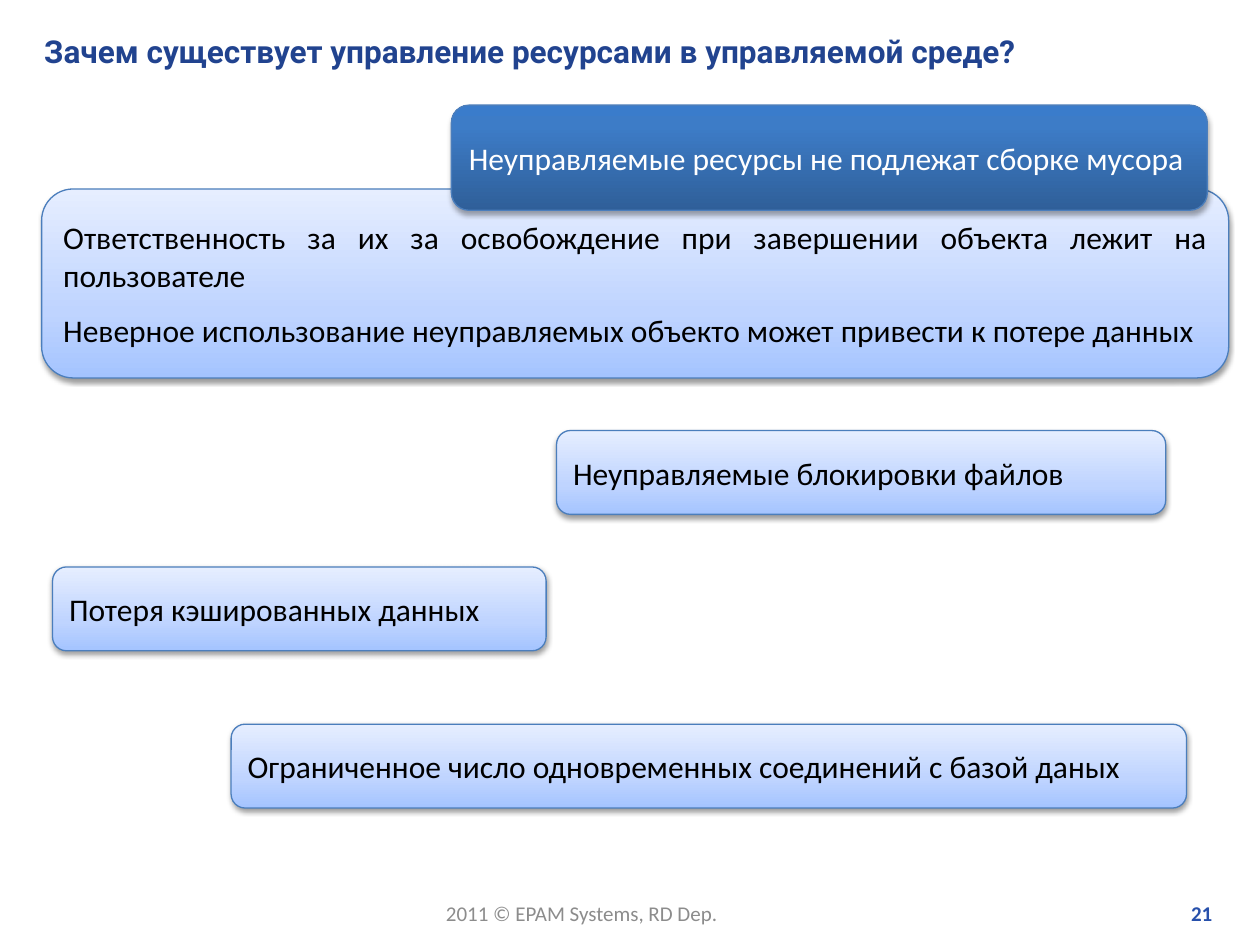
from copy import deepcopy

from lxml.etree import SubElement
from pptx import Presentation
from pptx.dml.color import RGBColor as Rgb
from pptx.enum.shapes import MSO_SHAPE as Form
from pptx.enum.text import MSO_ANCHOR as Anchor, PP_ALIGN as Align
from pptx.oxml.ns import qn
from pptx.util import Cm, Pt

BLACK = Rgb(0x00, 0x00, 0x00)
WHITE = Rgb(0xFF, 0xFF, 0xFF)
GREY = Rgb(0x8C, 0x8C, 0x8C)
NAVY = Rgb(0x21, 0x43, 0x8F)
BLUE = Rgb(0x27, 0x50, 0xAB)
EDGE = Rgb(0x4B, 0x7E, 0xBC)

# Stops run from the bottom of the card to its top.
LIGHT = {
    "stops": [(0, Rgb(0xA4, 0xC4, 0xFF)), (0.35, Rgb(0xBF, 0xD4, 0xFF)),
              (1, Rgb(0xE6, 0xEE, 0xFF))],
    "ink": BLACK, "drop": 1.6, "alpha": 38,
}
DARK = {
    "stops": [(0, Rgb(0x2F, 0x5F, 0x99)), (0.8, Rgb(0x3D, 0x7C, 0xC7)),
              (1, Rgb(0x3A, 0x7C, 0xCB))],
    "ink": WHITE, "drop": 1.8, "alpha": 35,
}

CARDS = [
    ((0.84, 3.81, 23.93, 3.81), LIGHT,
     ["Ответственность за их за освобождение при завершении объекта лежит на пользователе",
      "Неверное использование неуправляемых объекто может привести к потере данных"]),
    ((9.1, 2.12, 15.24, 2.12), DARK,
     ["Неуправляемые ресурсы не подлежат сборке мусора"]),
    ((11.22, 8.68, 12.28, 1.69), LIGHT, ["Неуправляемые блокировки файлов"]),
    ((4.66, 14.6, 19.26, 1.69), LIGHT,
     ["Ограниченное число одновременных соединений с базой даных"]),
    ((1.06, 11.43, 9.95, 1.69), LIGHT, ["Потеря кэшированных данных"]),
]


def put(item, form):
    for name, value in form.items():
        setattr(item, name, value)


def write(par, text, ink, size=18, face="Calibri", bold=False, **form):
    put(par, form)
    run = par.add_run()
    run.text = text
    put(run.font, {"size": Pt(size), "name": face, "bold": bold})
    run.font.color.rgb = ink


def label(slide, box, text, ink, wrap=True, **form):
    area = slide.shapes.add_textbox(*map(Cm, box))
    put(area.text_frame, {"word_wrap": wrap, "vertical_anchor": Anchor.MIDDLE})
    write(area.text_frame.paragraphs[0], text, ink, **form)


def shade(shape, stops):
    """Fill with a vertical gradient of three stops, rising from the bottom."""
    fill = shape.fill
    fill.gradient()
    fill.gradient_angle = 90
    marks = shape._element.spPr.find(qn("a:gradFill")).find(qn("a:gsLst"))
    marks.append(deepcopy(marks[0]))
    for stop, (pos, tone) in zip(fill.gradient_stops, stops):
        stop.position = pos
        stop.color.rgb = tone


def cast(shape, drop, alpha):
    """Add a soft black shadow below the shape."""
    shape.shadow.inherit = False
    effects = shape._element.spPr.find(qn("a:effectLst"))
    outer = SubElement(effects, qn("a:outerShdw"), blurRad=str(Pt(3.1)),
                       dist=str(Pt(drop)), dir="5400000", rotWithShape="0")
    tone = SubElement(outer, qn("a:srgbClr"), val=str(BLACK))
    SubElement(tone, qn("a:alpha"), val=str(alpha * 1000))


def card(slide, box, look, lines):
    shape = slide.shapes.add_shape(Form.ROUNDED_RECTANGLE, *map(Cm, box))
    shade(shape, look["stops"])
    shape.line.color.rgb = EDGE
    shape.line.width = Pt(0.75)
    cast(shape, look["drop"], look["alpha"])
    frame = shape.text_frame
    put(frame, {"word_wrap": True, "vertical_anchor": Anchor.MIDDLE})
    for n, text in enumerate(lines):
        par = frame.add_paragraph() if n else frame.paragraphs[0]
        write(par, text, look["ink"], alignment=Align.JUSTIFY, space_after=Pt(10))


def footer(slide, left, top, width, height):
    label(slide, (left, top, 6.07, height), "2011 © EPAM Systems, RD Dep.",
          GREY, wrap=False, size=12)
    side = 5.38
    label(slide, (left + width - side, top, side, height), "21", BLUE,
          size=12, bold=True, alignment=Align.RIGHT)


def main():
    deck = Presentation()
    put(deck, {"slide_width": Cm(25.4), "slide_height": Cm(19.05)})
    slide = deck.slides.add_slide(deck.slide_layouts[6])
    footer(slide, 8.74, 18.03, 15.95, 0.76)
    label(slide, (0.64, 0.51, 24.23, 1.02),
          "Зачем существует управление ресурсами в управляемой среде?",
          NAVY, face="Roboto", bold=True)
    for box, look, lines in CARDS:
        card(slide, box, look, lines)
    deck.save("out.pptx")


if __name__ == "__main__":
    main()
